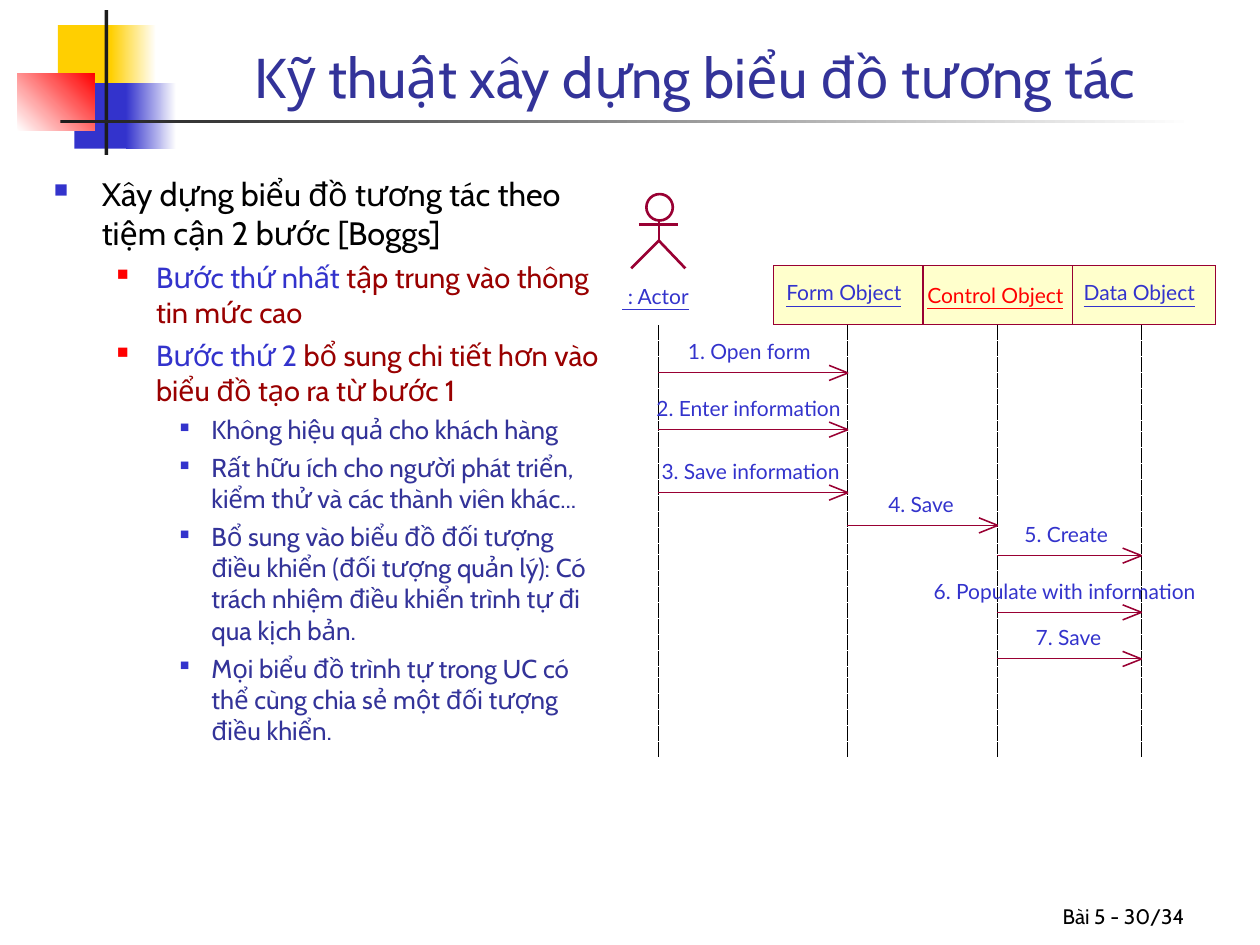
from collections import namedtuple
from dataclasses import dataclass

from lxml import etree
from pptx import Presentation
from pptx.dml.color import RGBColor
from pptx.enum.dml import MSO_LINE
from pptx.enum.shapes import MSO_CONNECTOR, MSO_SHAPE
from pptx.enum.text import MSO_ANCHOR, PP_ALIGN
from pptx.oxml.ns import qn
from pptx.util import Inches, Pt

RECT, OVAL = MSO_SHAPE.RECTANGLE, MSO_SHAPE.OVAL
STRAIGHT, DASH = MSO_CONNECTOR.STRAIGHT, MSO_LINE.SQUARE_DOT
TOP, BOTTOM = MSO_ANCHOR.TOP, MSO_ANCHOR.BOTTOM
LEFT, CENTER, RIGHT = PP_ALIGN.LEFT, PP_ALIGN.CENTER, PP_ALIGN.RIGHT

Box = namedtuple("Box", "left top width height")
Level = namedtuple("Level", "size indent hanging before bullet_color bullet_pct")


@dataclass(frozen=True)
class Theme:
    text_font: str = "Cabin"
    diagram_font: str = "Lato"
    title_size: float = 32
    small_size: float = 12
    hairline: float = 0.01
    black: str = "000000"
    white: str = "FFFFFF"
    bar: str = "1C1C1C"
    yellow: str = "FFCF01"
    blue: str = "3333CC"
    navy: str = "333399"
    red: str = "FF0000"
    dark_red: str = "990000"
    maroon: str = "990033"
    cream: str = "FFFFCC"


THEME = Theme()
LEVELS = (
    Level(18.5, 0.38, 0.38, 5, THEME.blue, 60),
    Level(16.6, 0.81, 0.31, 4.5, THEME.red, 55),
    Level(14.8, 1.25, 0.25, 4, THEME.blue, 50),
)
OUTLINE = [
    (0, [("Xây dựng biểu đồ tương tác theo tiệm cận 2 bước [Boggs]", THEME.black)]),
    (1, [("Bước thứ nhất", THEME.blue), (" tập trung vào thông tin mức cao", THEME.dark_red)]),
    (1, [("Bước thứ 2", THEME.blue),
         (" bổ sung chi tiết hơn vào biểu đồ tạo ra từ bước 1", THEME.dark_red)]),
    (2, [("Không hiệu quả cho khách hàng", THEME.navy)]),
    (2, [("Rất hữu ích cho người phát triển, kiểm thử và các thành viên khác...", THEME.navy)]),
    (2, [("Bổ sung vào biểu đồ đối tượng điều khiển (đối tượng quản lý): "
          "Có trách nhiệm điều khiển trình tự đi qua kịch bản.", THEME.navy)]),
    (2, [("Mọi biểu đồ trình tự trong UC có thể cùng chia sẻ một đối tượng điều khiển.",
          THEME.navy)]),
]

# Lifeline positions, participants and messages, measured from the diagram's corner
LIFELINES = {"actor": 0.29, "form": 1.79, "data": 4.12, "control": 2.98}
PARTICIPANTS = [  # lifeline, name, colour, name left, name top
    ("form", "Form Object", THEME.blue, 1.3, 0.68),
    ("data", "Data Object", THEME.blue, 3.66, 0.68),
    ("control", "Control Object", THEME.red, 2.42, 0.7),
]
MESSAGES = [  # sender, receiver, text, arrow height, text left
    ("actor", "form", "1. Open form", 1.42, 0.52),
    ("actor", "form", "2. Enter information", 1.87, 0.27),
    ("actor", "form", "3. Save information", 2.37, 0.31),
    ("form", "control", "4. Save", 2.63, 2.11),
    ("control", "data", "5. Create", 2.87, 3.19),
    ("control", "data", "6. Populate with information", 3.32, 2.47),
    ("control", "data", "7. Save", 3.69, 3.28),
]


def rgb(color):
    return RGBColor.from_string(color)


def add_block(shapes, box, fill=None, fade=None, angle=0, line=None,
              width=THEME.hairline, kind=RECT):
    block = shapes.add_shape(kind, *map(Inches, box))
    block.shadow.inherit = False
    if fade:
        block.fill.gradient()
        block.fill.gradient_angle = angle
        for stop, color in zip(block.fill.gradient_stops, (fill, fade)):
            stop.color.rgb = rgb(color)
    elif fill:
        block.fill.solid()
        block.fill.fore_color.rgb = rgb(fill)
    else:
        block.fill.background()
    if line:
        block.line.color.rgb = rgb(line)
        block.line.width = Pt(width)
    else:
        block.line.fill.background()


def add_line(shapes, x1, y1, x2, y2, color=THEME.maroon, width=THEME.hairline, dash=None):
    line = shapes.add_connector(STRAIGHT, *map(Inches, (x1, y1, x2, y2)))
    line.line.color.rgb = rgb(color)
    line.line.width = Pt(width)
    if dash:
        line.line.dash_style = dash
    etree.SubElement(line._element.spPr, qn("a:effectLst"))


def add_frame(shapes, box, anchor=TOP, wrap=True, inset=True):
    frame = shapes.add_textbox(*map(Inches, box)).text_frame
    margins = dict(left=0.1, right=0.1, top=0.05, bottom=0.05)
    for side, margin in margins.items():
        setattr(frame, f"margin_{side}", Inches(margin if inset else 0))
    frame.word_wrap = wrap
    frame.vertical_anchor = anchor
    return frame


def add_run(paragraph, text, color, **font):
    run = paragraph.add_run()
    run.text = text
    run.font.color.rgb = rgb(color)
    for name, value in font.items():
        setattr(run.font, name, value)


def add_caption(shapes, box, text, color, size, align, anchor):
    paragraph = add_frame(shapes, box, anchor).paragraphs[0]
    paragraph.alignment = align
    add_run(paragraph, text, color, size=Pt(size), name=THEME.text_font)


def add_label(shapes, left, top, text, color=THEME.blue, underline=False):
    frame = add_frame(shapes, Box(left, top, 0.09 * len(text), 0.2), wrap=False, inset=False)
    frame.paragraphs[0].alignment = LEFT
    add_run(frame.paragraphs[0], text, color, size=Pt(THEME.small_size),
            name=THEME.diagram_font, underline=underline)


def draw_ornament(shapes, box):
    """Coloured squares and crossing bars in the header."""
    parts = [
        (0.32, 0.12, 0.48, 0.52, THEME.yellow, None, 0),
        (0.74, 0.12, 0.36, 0.52, THEME.yellow, THEME.white, 0),
        (0.45, 0.58, 0.46, 0.52, THEME.blue, None, 0),
        (0.86, 0.58, 0.4, 0.52, THEME.blue, THEME.white, 0),
        (0, 0.5, 0.61, 0.46, THEME.white, THEME.red, 45),
        (0.69, 0, 0.03, box.height, THEME.bar, None, 0),
        (0.34, 0.87, box.width - 0.34, 0.03, THEME.bar, THEME.white, 0),
    ]
    for x, y, width, height, fill, fade, angle in parts:
        add_block(shapes, Box(box.left + x, box.top + y, width, height), fill, fade, angle)


def draw_outline(shapes, box):
    """Three-level bulleted text."""
    frame = add_frame(shapes, box)
    for index, (depth, runs) in enumerate(OUTLINE):
        level = LEVELS[depth]
        paragraph = frame.add_paragraph() if index else frame.paragraphs[0]
        paragraph.level = depth
        paragraph.alignment = LEFT
        paragraph.space_before = Pt(level.before)
        props = paragraph._p.get_or_add_pPr()
        props.set("marL", str(Inches(level.indent)))
        props.set("indent", str(-Inches(level.hanging)))
        bullet_color = etree.SubElement(props, qn("a:buClr"))
        etree.SubElement(bullet_color, qn("a:srgbClr"), val=level.bullet_color)
        etree.SubElement(props, qn("a:buSzPct"), val=str(level.bullet_pct * 1000))
        etree.SubElement(props, qn("a:buChar"), char="■")
        for text, color in runs:
            add_run(paragraph, text, color, size=Pt(level.size), name=THEME.text_font)


def draw_actor(shapes, left, top):
    """Stick figure with its name."""
    center = left + LIFELINES["actor"]
    add_block(shapes, Box(center - 0.1, top, 0.21, 0.21), line=THEME.maroon, width=1.5, kind=OVAL)
    add_line(shapes, center, top + 0.2, center, top + 0.37, width=1.5)
    add_line(shapes, center - 0.16, top + 0.24, center + 0.15, top + 0.24, width=1.5)
    hip, foot = Inches(top + 0.37), Inches(top + 0.59)
    outline = shapes.build_freeform(Inches(center - 0.22), foot)
    outline.add_line_segments([(Inches(center), hip), (Inches(center + 0.21), foot)], close=False)
    legs = outline.convert_to_shape()
    legs.shadow.inherit = False
    legs.fill.background()
    legs.line.color.rgb = rgb(THEME.maroon)
    legs.line.width = Pt(1.5)
    add_label(shapes, left, top + 0.71, " : Actor", underline=True)


def draw_sequence(shapes, box):
    """Sequence diagram: actor, participants, lifelines and messages."""
    left, top = box.left, box.top
    draw_actor(shapes, left, top)
    for key, name, color, x, y in PARTICIPANTS:
        add_block(shapes, Box(left + LIFELINES[key] - 0.59, top + 0.57, 1.18, 0.47),
                  THEME.cream, line=THEME.maroon)
        add_label(shapes, left + x, top + y, name, color, underline=True)
    for x in LIFELINES.values():
        add_line(shapes, left + x, top + 1.04, left + x, top + box.height, THEME.black, dash=DASH)
    for sender, receiver, text, y, x in MESSAGES:
        start, tip, level = left + LIFELINES[sender], left + LIFELINES[receiver], top + y
        add_line(shapes, start, level, tip, level)
        for rise in (0.06, -0.06):
            add_line(shapes, tip, level, tip - 0.15, level + rise, width=0.88)
        add_label(shapes, left + x, level - 0.27, text)


def main():
    deck = Presentation()
    deck.slide_width, deck.slide_height = Inches(10), Inches(7.5)
    shapes = deck.slides.add_slide(deck.slide_layouts[6]).shapes
    draw_ornament(shapes, Box(0.14, 0.08, 9.34, 1.15))
    add_caption(shapes, Box(7.42, 6.92, 2.08, 0.5), "Bài 5 - 30/34",
                THEME.black, THEME.small_size, RIGHT, BOTTOM)
    add_caption(shapes, Box(1.26, 0.08, 8.52, 0.84), "Kỹ thuật xây dựng biểu đồ tương tác",
                THEME.navy, THEME.title_size, CENTER, BOTTOM)
    draw_outline(shapes, Box(0.33, 1.33, 4.58, 5.75))
    draw_sequence(shapes.add_group_shape().shapes, Box(4.94, 1.54, 4.71, 4.47))
    deck.save("out.pptx")


if __name__ == "__main__":
    main()
